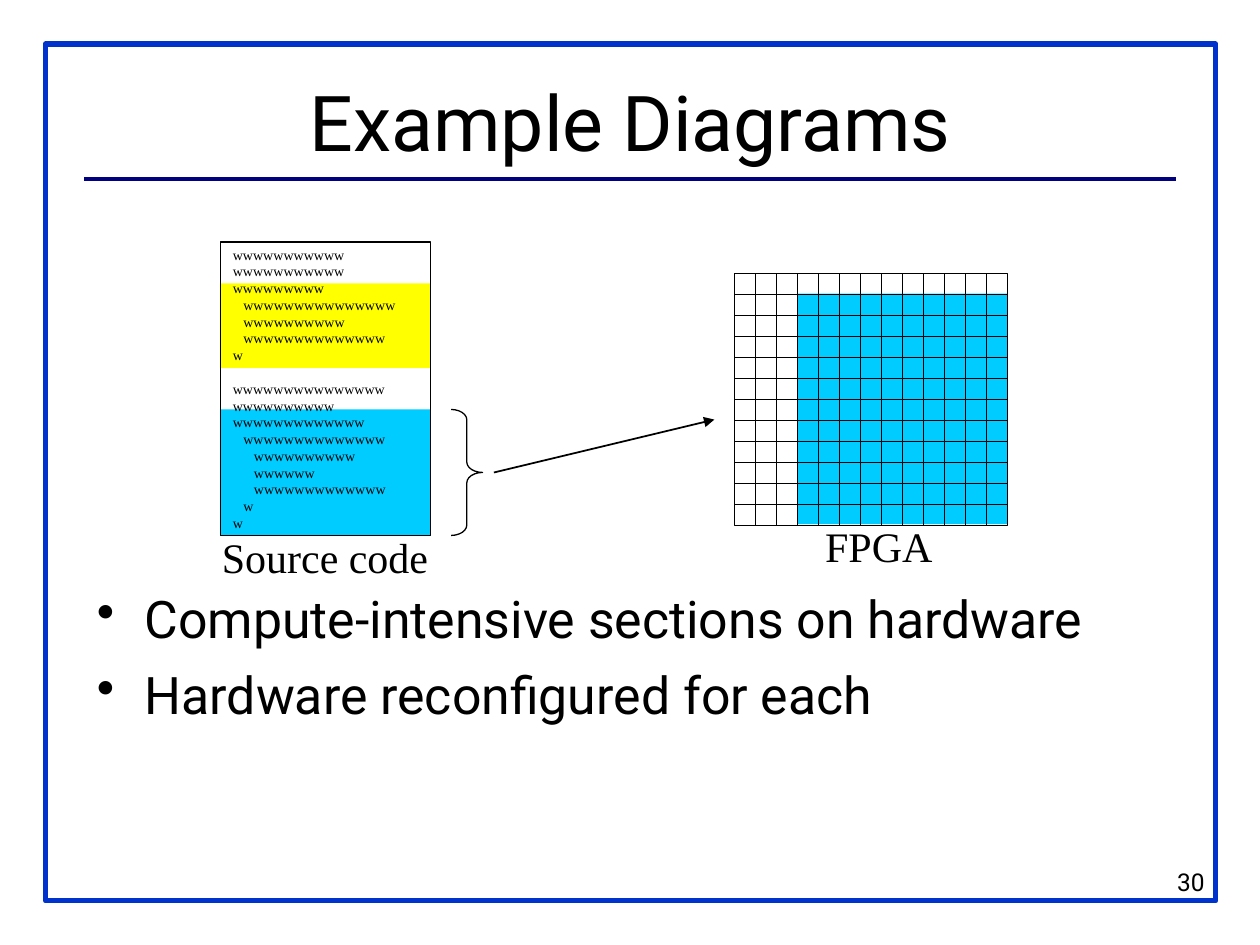
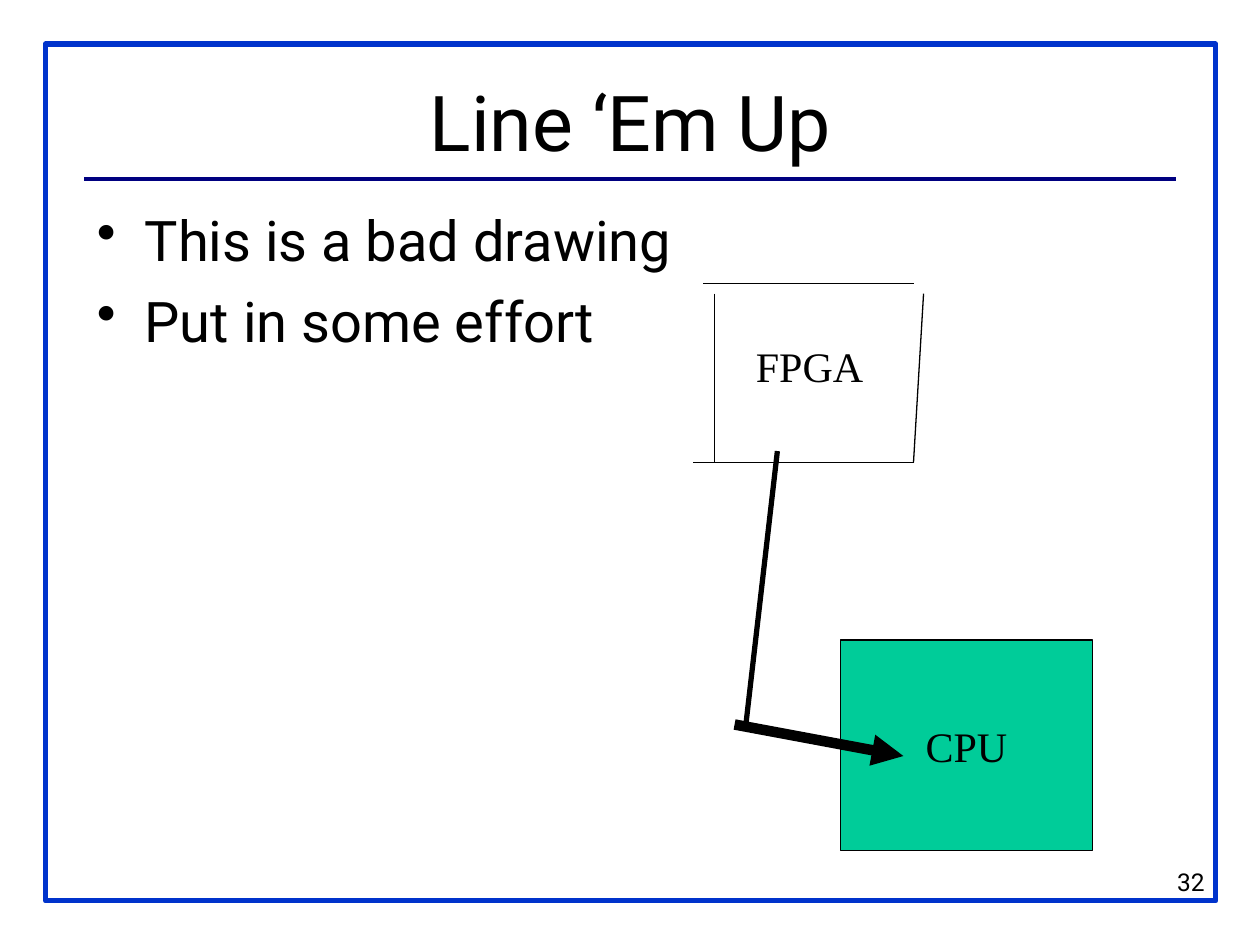
from dataclasses import dataclass

from lxml.etree import SubElement
from pptx import Presentation
from pptx.dml.color import RGBColor
from pptx.enum.shapes import MSO_CONNECTOR, MSO_SHAPE
from pptx.enum.text import MSO_ANCHOR, PP_ALIGN
from pptx.oxml.ns import qn
from pptx.util import Inches, Pt


@dataclass(frozen=True)
class Theme:
    sans: str = "Roboto"
    serif: str = "Times New Roman"
    ink: str = "000000"
    frame: str = "0033CC"
    rule: str = "000080"
    cyan: str = "00CCFF"
    yellow: str = "FFFF00"
    green: str = "00CC99"
    title: float = 44
    body: float = 32
    tight: float = 29.6
    label: float = 24
    foot: float = 14
    code: float = 8
    thin: float = 0.75


LOOK = Theme()

FIRST = {
    "title": "Example Diagrams",
    "number": "30",
    "points": ["Compute-intensive sections on hardware", "Hardware reconfigured for each"],
    "top": 4.61,
    "size": LOOK.tight,
}
SECOND = {
    "title": "Line ‘Em Up",
    "number": "32",
    "points": ["This is a bad drawing", "Put in some effort"],
    "top": 1.58,
    "size": LOOK.body,
}

CODE = [
    [
        "wwwwwwwwwww",
        "wwwwwwwwwww",
        "wwwwwwwww",
        "   wwwwwwwwwwwwwww",
        "   wwwwwwwwww",
        "   wwwwwwwwwwwwww",
        "w",
    ],
    [
        "wwwwwwwwwwwwwww",
        "wwwwwwwwww",
        "wwwwwwwwwwwww",
        "   wwwwwwwwwwwwww",
        "      wwwwwwwwww",
        "      wwwwww",
        "      wwwwwwwwwwwww",
        "   w",
        "w",
    ],
]
BLOCKS = [
    ((6.33, 2.33, 1.67, 1.83), LOOK.cyan),
    ((1.75, 3.25, 1.67, 1), LOOK.cyan),
    ((1.75, 2.25, 1.67, 0.67), LOOK.yellow),
]
GRID = {"left": 5.83, "top": 2.17, "cols": 13, "rows": 12, "cell": 1 / 6}
SKETCH = [
    ((5.67, 2.33), (5.67, 3.67), LOOK.thin, False),
    ((5.58, 2.25), (7.25, 2.25), LOOK.thin, False),
    ((7.33, 2.33), (7.25, 3.67), LOOK.thin, False),
    ((7.25, 3.67), (5.5, 3.67), LOOK.thin, False),
]
LINKS = [
    ((6.17, 3.58), (5.92, 5.75), 3, False),
    ((5.83, 5.75), (7.17, 6), 6, True),
]


def apply(thing, **looks):
    for name, value in looks.items():
        setattr(thing, name, value)


def stroke(line, color, width):
    line.color.rgb = RGBColor.from_string(color)
    line.width = Pt(width)


def shape(slide, box, fill=None, line=None, width=LOOK.thin, kind=MSO_SHAPE.RECTANGLE):
    item = slide.shapes.add_shape(kind, *map(Inches, box))
    item.shadow.inherit = False
    if fill:
        item.fill.solid()
        item.fill.fore_color.rgb = RGBColor.from_string(fill)
    else:
        item.fill.background()
    if line:
        stroke(item.line, line, width)
    else:
        item.line.fill.background()
    return item


def link(slide, start, end, width=LOOK.thin, arrow=False, color=LOOK.ink):
    ends = map(Inches, (*start, *end))
    item = slide.shapes.add_connector(MSO_CONNECTOR.STRAIGHT, *ends)
    stroke(item.line, color, width)
    if arrow:
        SubElement(item.line._get_or_add_ln(), qn("a:tailEnd"), type="triangle")
    SubElement(item._element.spPr, qn("a:effectLst"))


def write(item, lines, size, face=LOOK.sans, align=PP_ALIGN.LEFT,
          anchor=MSO_ANCHOR.TOP, wrap=True, bullet=False, gaps=None):
    frame = item.text_frame
    apply(frame, word_wrap=wrap, vertical_anchor=anchor,
          margin_left=Inches(0.1), margin_right=Inches(0.1),
          margin_top=Inches(0.05), margin_bottom=Inches(0.05))
    for index, line in enumerate(lines):
        para = frame.add_paragraph() if index else frame.paragraphs[0]
        if bullet:
            mark(para)
        apply(para, alignment=align, space_before=Pt((gaps or {}).get(index, 0)))
        run = para.add_run()
        run.text = line
        apply(run.font, name=face, size=Pt(size))
        run.font.color.rgb = RGBColor.from_string(LOOK.ink)


def mark(para):
    props = para._p.get_or_add_pPr()
    dent = Inches(0.38)
    props.set("marL", str(dent))
    props.set("indent", str(-dent))
    color = SubElement(props, qn("a:buClr"))
    SubElement(color, qn("a:srgbClr"), val=LOOK.ink)
    SubElement(props, qn("a:buChar"), char="•")


def text(slide, box, lines, size, **looks):
    item = slide.shapes.add_textbox(*map(Inches, box))
    write(item, lines, size, **looks)


def label(slide, box, words):
    text(slide, box, [words], LOOK.label, face=LOOK.serif,
         align=PP_ALIGN.CENTER, wrap=False)


def page(deck, data):
    slide = deck.slides.add_slide(deck.slide_layouts[6])
    shape(slide, (0.36, 0.35, 9.29, 6.8), line=LOOK.frame, width=3)
    link(slide, (0.67, 1.42), (9.33, 1.42), 2, color=LOOK.rule)
    text(slide, (7.58, 6.83, 2.08, 0.5), [data["number"]], LOOK.foot, align=PP_ALIGN.RIGHT)
    text(slide, (0.67, 0.33, 8.67, 1.25), [data["title"]], LOOK.title,
         align=PP_ALIGN.CENTER, anchor=MSO_ANCHOR.MIDDLE)
    text(slide, (0.67, data["top"], 8.67, 6.83 - data["top"]), data["points"],
         data["size"], bullet=True, gaps={1: 8})
    return slide


def grid(slide, left, top, cols, rows, cell):
    wide, high = cols * cell, rows * cell
    shape(slide, (left, top, wide, high), line=LOOK.ink)
    for col in range(1, cols):
        x = left + col * cell
        link(slide, (x, top), (x, top + high))
    for row in range(1, rows):
        y = top + row * cell
        link(slide, (left, y), (left + wide, y))


def chip(deck):
    slide = page(deck, FIRST)
    for box, fill in BLOCKS:
        shape(slide, box, fill)
    source = shape(slide, (1.75, 1.92, 1.67, 2.33), line=LOOK.ink)
    write(source, sum(CODE, []), LOOK.code, face=LOOK.serif,
          anchor=MSO_ANCHOR.MIDDLE, gaps={len(CODE[0]): 9.6})
    label(slide, (1.66, 4.17, 1.84, 0.5), "Source code")
    grid(slide, **GRID)
    brace = shape(slide, (3.58, 3.25, 0.25, 1), line=LOOK.ink, kind=MSO_SHAPE.RIGHT_BRACE)
    brace.adjustments[0] = 0.33
    link(slide, (3.92, 3.75), (5.67, 3.33), 1, arrow=True)
    label(slide, (6.45, 4.08, 1.05, 0.5), "FPGA")


def sketch(deck):
    slide = page(deck, SECOND)
    for line in SKETCH:
        link(slide, *line)
    label(slide, (5.9, 2.65, 1.05, 0.5), "FPGA")
    core = shape(slide, (6.67, 5.08, 2, 1.67), LOOK.green, LOOK.ink)
    write(core, ["CPU"], LOOK.label, face=LOOK.serif, align=PP_ALIGN.CENTER,
          anchor=MSO_ANCHOR.MIDDLE)
    for line in LINKS:
        link(slide, *line)


def main():
    deck = Presentation()
    apply(deck, slide_width=Inches(10), slide_height=Inches(7.5))
    chip(deck)
    sketch(deck)
    deck.save("out.pptx")


if __name__ == "__main__":
    main()
